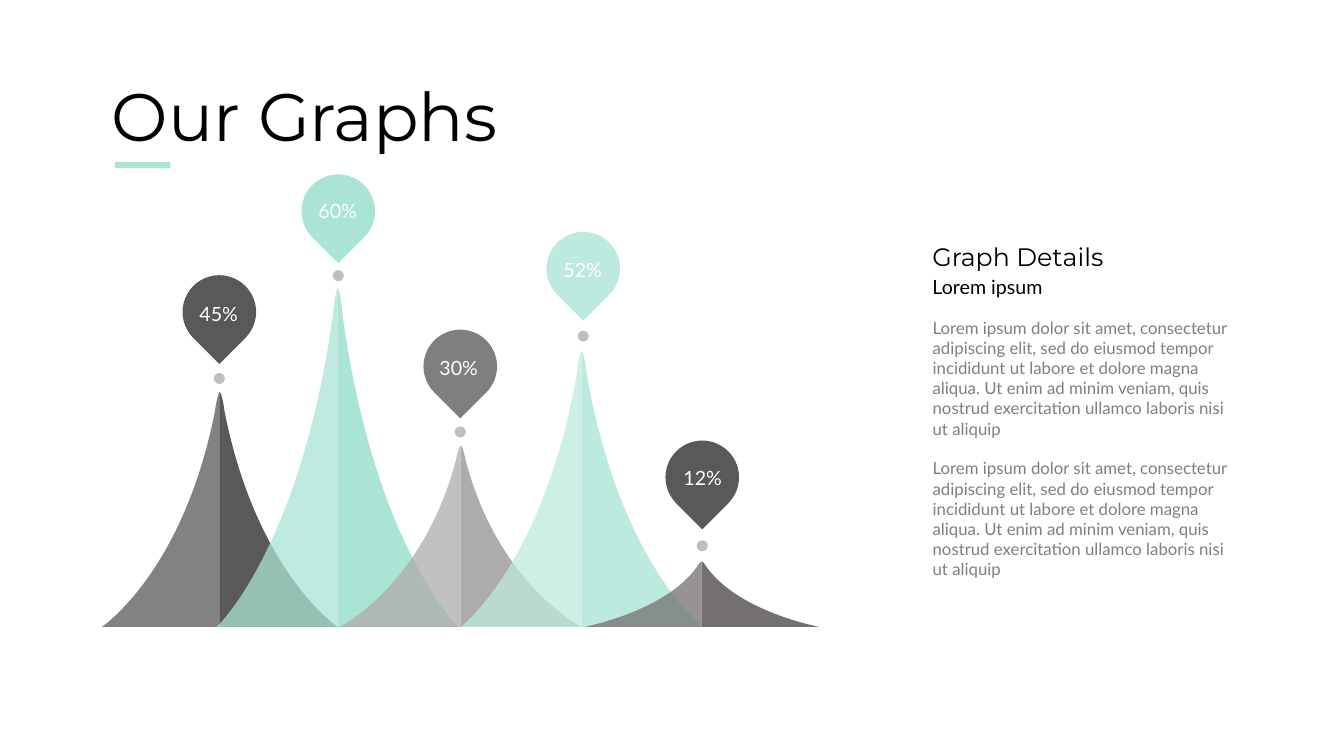
from lxml import etree
from pptx import Presentation
from pptx.dml.color import RGBColor
from pptx.enum.shapes import MSO_SHAPE
from pptx.enum.text import MSO_ANCHOR, MSO_AUTO_SIZE, PP_ALIGN
from pptx.oxml.ns import qn
from pptx.util import Inches, Pt

RECT, OVAL, TEAR = MSO_SHAPE.RECTANGLE, MSO_SHAPE.OVAL, MSO_SHAPE.TEAR
LEFT, TOP, MIDDLE = PP_ALIGN.LEFT, MSO_ANCHOR.TOP, MSO_ANCHOR.MIDDLE
NO_FIT = MSO_AUTO_SIZE.NONE

# Content
TITLE = "Our Graphs"
HEADING = "Graph Details"
SUBHEADING = "Lorem ipsum"
DETAIL = ("Lorem ipsum dolor sit amet, consectetur adipiscing elit, sed do eiusmod "
          "tempor incididunt ut labore et dolore magna aliqua. Ut enim ad minim veniam, "
          "quis nostrud exercitation ullamco laboris nisi ut aliquip")
DETAILS = [DETAIL, DETAIL]
# centre x, half width, apex y, colour
PEAKS = [
    (2.18, 1.17, 3.89, "dark"),
    (3.35, 1.20, 2.86, "mint"),
    (4.57, 1.20, 4.42, "silver"),
    (5.77, 1.20, 3.48, "pale"),
    (6.96, 1.17, 5.57, "brown"),
]
# label, pin left, pin top, label left, label top, dot left, dot top, colour
PINS = [
    ("45%", 1.81, 2.73, 1.88, 2.94, 2.12, 3.70, "dark"),
    ("60%", 2.99, 1.73, 3.06, 1.92, 3.30, 2.68, "mint"),
    ("30%", 4.20, 3.27, 4.26, 3.48, 4.51, 4.23, "grey"),
    ("52%", 5.42, 2.30, 5.49, 2.51, 5.73, 3.28, "pale"),
    ("12%", 6.60, 4.37, 6.68, 4.57, 6.91, 5.36, "dark"),
]

THEME = {
    "color": {"dark": "595959", "mint": "AAE4D5", "silver": "AEABAB", "pale": "BCEADE",
              "brown": "757070", "grey": "7F7F7F", "dot": "BFBFBF",
              "black": "000000", "white": "FFFFFF"},
    "title": ("Montserrat", 48, "black"),
    "heading": ("Montserrat", 18, "black"),
    "subheading": ("Lato", 14, "black"),
    "body": ("Lato", 12, "grey"),
    "label": ("Lato", 14, "white"),
}

# Geometry
BASE_Y = 6.22
DOT, PIN = 0.11, 0.73
LABEL_W, LABEL_H = 0.59, 0.34
# Half-peak outline in units of half width and depth below the apex
SHOULDER, APEX, FOOT, CORNER = (0.04, 0.08), (0, 0), (0, 1), (1, 1)
# Control points of each side; None is a straight side
SIDES = [
    (APEX, [(0.03, 0.04), (0.01, 0)]),
    (FOOT, None),
    (CORNER, None),
    (SHOULDER, [CORNER, (0.31, 0.77)]),
]


def rgb(name):
    return RGBColor.from_string(THEME["color"][name])


def paint(s, color, alpha=None):
    s.shadow.inherit = False
    s.fill.solid()
    s.fill.fore_color.rgb = rgb(color)
    s.line.fill.background()
    if alpha:
        clr = s._element.spPr.find(qn("a:solidFill"))[0]
        etree.SubElement(clr, qn("a:alpha")).set("val", str(alpha * 1000))


def add_box(parent, kind, x, y, w, h, color):
    s = parent.shapes.add_shape(kind, Inches(x), Inches(y), Inches(w), Inches(h))
    paint(s, color)
    return s


def write(s, texts, style, anchor=TOP, wrap=True, gap=0):
    name, size, color = THEME[style]
    tf = s.text_frame
    for key, value in {"auto_size": NO_FIT, "word_wrap": wrap,
                       "vertical_anchor": anchor}.items():
        setattr(tf, key, value)
    for i, text in enumerate(texts):
        p = tf.paragraphs[0] if i == 0 else tf.add_paragraph()
        p.alignment = LEFT
        p.space_before = Pt(gap if i else 0)
        if style == "body":
            pPr = p._p.get_or_add_pPr()
            pPr.set("marL", "0")
            pPr.set("indent", "0")
            etree.SubElement(pPr, qn("a:buNone"))
        r = p.add_run()
        r.text = text
        r.font.name, r.font.size = name, Pt(size)
        r.font.color.rgb = rgb(color)


def place(s, x, y, w, h):
    s.left, s.top, s.width, s.height = (Inches(v) for v in (x, y, w, h))


def add_half_peak(parent, x, half_width, apex, side, color, alpha=None):
    def spot(unit):
        return (Inches(x + side * half_width * unit[0]),
                Inches(apex + (BASE_Y - apex) * unit[1]))

    outline = parent.shapes.build_freeform(*spot(SHOULDER))
    outline.add_line_segments([spot(end) for end, controls in SIDES], close=True)
    s = outline.convert_to_shape()
    # Bend the curved sides into cubic curves
    for line, (end, controls) in zip(list(s._element.iter(qn("a:lnTo"))), SIDES):
        if controls:
            line.tag = qn("a:cubicBezTo")
            for i, unit in enumerate(controls):
                px, py = spot(unit)
                pt = etree.Element(qn("a:pt"), x=str(px - s.left), y=str(py - s.top))
                line.insert(i, pt)
    paint(s, color, alpha)


prs = Presentation()
prs.slide_width, prs.slide_height = Inches(13.33), Inches(7.5)
slide = prs.slides.add_slide(prs.slide_layouts[1])

# Peaks: translucent left half, solid right half
for x, half, apex, color in PEAKS:
    peak = slide.shapes.add_group_shape()
    add_half_peak(peak, x, half, apex, -1, color, 75)
    add_half_peak(peak, x, half, apex, 1, color)

# Dots and labelled pins
for label, pin_x, pin_y, label_x, label_y, dot_x, dot_y, color in PINS:
    add_box(slide, OVAL, dot_x, dot_y, DOT, DOT, "dot")
    pin = slide.shapes.add_group_shape()
    add_box(pin, TEAR, pin_x, pin_y, PIN, PIN, color).rotation = 135
    s = add_box(pin, RECT, label_x, label_y, LABEL_W, LABEL_H, color)
    write(s, [label], "label", MIDDLE)

# Title and accent bar
title, body = slide.placeholders
place(title, 1.01, 0.69, 5.28, 0.91)
write(title, [TITLE], "title")
add_box(slide, RECT, 1.14, 1.61, 0.55, 0.06, "mint")

# Details column
for text, style, y, h in [(HEADING, "heading", 2.34, 0.4),
                          (SUBHEADING, "subheading", 2.68, 0.34)]:
    s = slide.shapes.add_textbox(Inches(9.15), Inches(y), Inches(3.07), Inches(h))
    write(s, [text], style)
place(body, 9.15, 3.1, 3.26, 2.52)
write(body, DETAILS, "body", gap=14)

prs.save("out.pptx")
